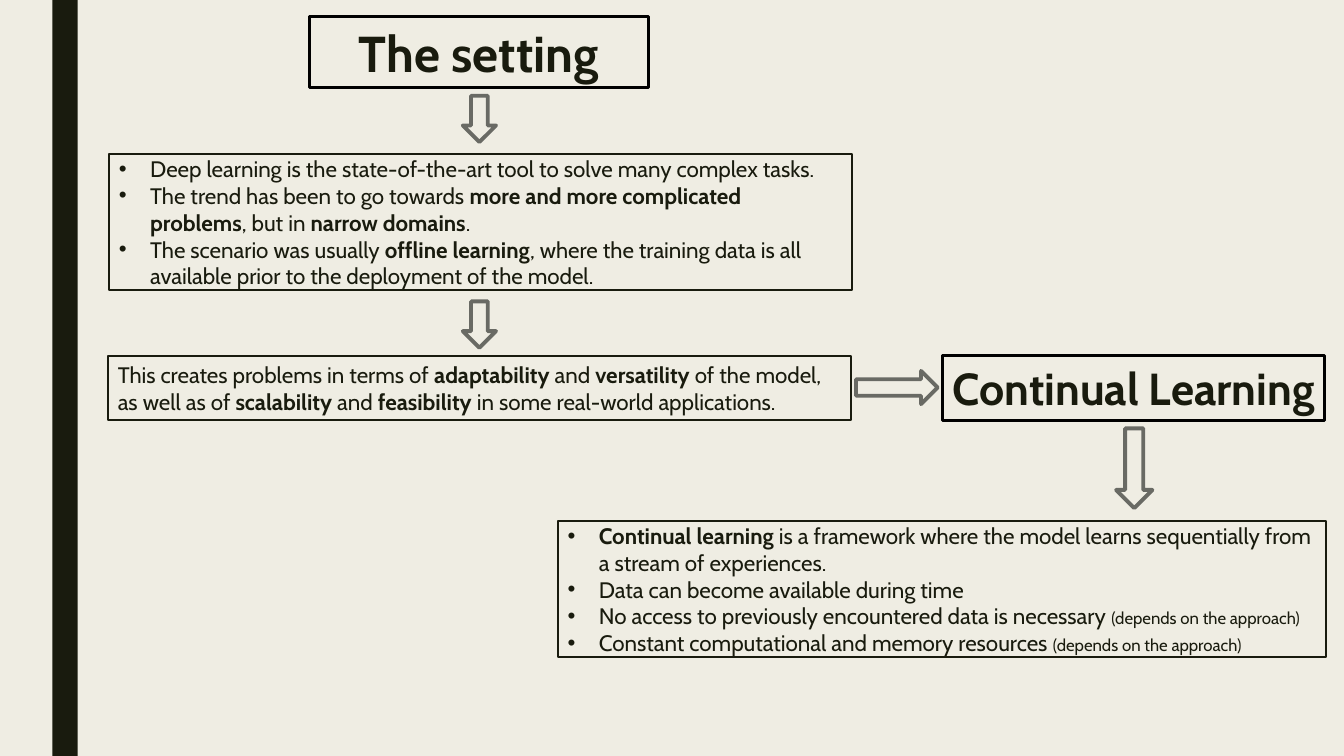
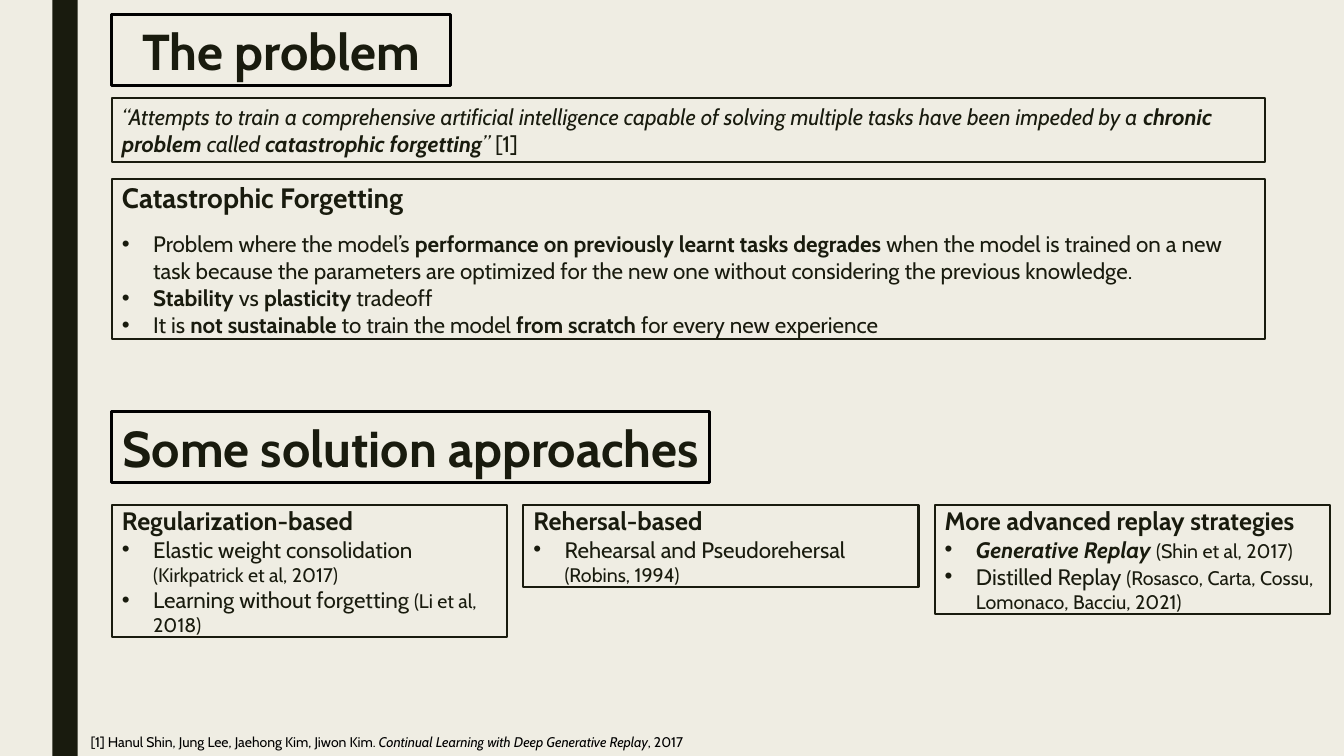
from lxml.etree import SubElement
from pptx import Presentation
from pptx.dml.color import RGBColor
from pptx.enum.shapes import MSO_SHAPE as Preset
from pptx.enum.text import MSO_ANCHOR as Anchor, MSO_AUTO_SIZE as AutoSize, PP_ALIGN as Align
from pptx.oxml.ns import qn
from pptx.util import Inches, Pt

BACKGROUND, INK, BLACK, GREY = "EFEDE3", "191B0E", "000000", "696A64"
FONT = "Cabin"
HEADING = {"size": 36, "border": BLACK, "weight": 2.25, "heading": True}
BODY = {"size": 16, "small": 12, "border": INK, "weight": 1.5}
STYLES = {
    "heading": HEADING,
    "callout": {**HEADING, "size": 32},
    "body": BODY,
    "topic": {**BODY, "lead": 20, "lead_gap": 12},
    "approach": {**BODY, "small": 14, "lead": 18},
    "reference": {"size": 10, "ink": BLACK},
}


def colour(value):
    """Return the colour for a hex string."""
    return RGBColor.from_string(value)


def fill_box(shape, at, lines, style_name):
    """Place a box and write lines; * toggles bold, _ italic, ~ small text."""
    style = STYLES[style_name]
    heading = style.get("heading", False)
    shape.left, shape.top, shape.width, shape.height = map(Inches, at)
    shape.shadow.inherit = False
    shape.fill.background()
    if "border" in style:
        shape.line.color.rgb = colour(style["border"])
        shape.line.width = Pt(style["weight"])
    frame = shape.text_frame
    frame_format = {
        "word_wrap": not heading,
        "auto_size": AutoSize.NONE if heading else AutoSize.SHAPE_TO_FIT_TEXT,
        "vertical_anchor": Anchor.MIDDLE,
        "margin_left": Inches(0.1), "margin_right": Inches(0.1),
        "margin_top": Inches(0.05), "margin_bottom": Inches(0.05),
    }
    for name, value in frame_format.items():
        setattr(frame, name, value)

    for number, line in enumerate(lines):
        paragraph = frame.add_paragraph() if number else frame.paragraphs[0]
        bulleted = line.startswith("• ")
        lead = "lead" in style and not bulleted
        paragraph_format = {
            "alignment": Align.CENTER if heading else Align.LEFT,
            "line_spacing": 1.0,
            "space_before": Pt(0),
            "space_after": Pt(style.get("lead_gap", 0) if lead else 0),
        }
        for name, value in paragraph_format.items():
            setattr(paragraph, name, value)
        properties = paragraph._p.get_or_add_pPr()
        indent = Inches(0.31) if bulleted else 0
        properties.set("marL", str(indent))
        properties.set("indent", str(-indent))
        if bulleted:
            SubElement(properties, qn("a:buFont")).set("typeface", "Arial")
            SubElement(properties, qn("a:buChar")).set("char", "•")
        else:
            SubElement(properties, qn("a:buNone"))

        active = {"*": heading or lead, "_": False, "~": False}
        text = line.removeprefix("• ")
        for mark in active:
            text = text.replace(mark, f"\n{mark}\n")
        for piece in text.split("\n"):
            if piece in active:
                active[piece] = not active[piece]
            elif piece:
                run = paragraph.add_run()
                run.text = piece
                size = style["lead"] if lead else style["small" if active["~"] else "size"]
                font_format = {"name": FONT, "size": Pt(size),
                               "bold": active["*"], "italic": active["_"]}
                for name, value in font_format.items():
                    setattr(run.font, name, value)
                run.font.color.rgb = colour(style.get("ink", INK))


deck = Presentation()
deck.slide_width, deck.slide_height = Inches(13.33), Inches(7.5)
master = deck.slide_master
master.background.fill.solid()
master.background.fill.fore_color.rgb = colour(BACKGROUND)

setting = deck.slides.add_slide(deck.slide_layouts.get_by_name("Two Content"))
problem = deck.slides.add_slide(deck.slide_layouts.get_by_name("Comparison"))

# The side band belongs to the master, behind everything else
band = setting.shapes.add_shape(Preset.RECTANGLE, Inches(0.52), 0, Inches(0.25), Inches(7.5))
band.shadow.inherit = False
band.fill.solid()
band.fill.fore_color.rgb = colour(INK)
band.line.fill.background()
band.element.nvSpPr.cNvPr.set("id", "20")
master.shapes.element.insert(2, band.element)

# Slide 1: the setting
fill_box(setting.shapes.title, (3.07, 0.16, 3.36, 0.71), ["The setting"], "heading")
fill_box(setting.placeholders[1], (1.08, 1.48, 7.37, 1.45), [
    "• Deep learning is the state-of-the-art tool to solve many complex tasks.",
    "• The trend has been to go towards *more and more complicated problems*, "
    "but in *narrow domains*.",
    "• The scenario was usually *offline learning*, where the training data is all "
    "available prior to the deployment of the model.",
], "body")
fill_box(setting.placeholders[2], (5.53, 5.12, 7.62, 1.45), [
    "• *Continual learning* is a framework where the model learns sequentially from "
    "a stream of experiences.",
    "• Data can become available during time",
    "• No access to previously encountered data is necessary ~(depends on the approach)~",
    "• Constant computational and memory resources ~(depends on the approach)~",
], "body")
setting_boxes = [
    ((1.07, 3.53, 7.37, 0.64), "body",
     "This creates problems in terms of *adaptability* and *versatility* of the model, "
     "as well as of *scalability* and *feasibility* in some real-world applications."),
    ((9.35, 3.53, 3.79, 0.64), "callout", "Continual Learning"),
]
for at, style_name, line in setting_boxes:
    box = setting.shapes.add_shape(Preset.RECTANGLE, *map(Inches, at))
    fill_box(box, at, [line], style_name)

flow_arrows = [
    (Preset.DOWN_ARROW, (4.59, 0.95, 0.33, 0.46)),
    (Preset.DOWN_ARROW, (4.59, 2.99, 0.33, 0.46)),
    (Preset.RIGHT_ARROW, (8.49, 3.68, 0.81, 0.33)),
    (Preset.DOWN_ARROW, (11.07, 4.25, 0.36, 0.79)),
]
for preset, at in flow_arrows:
    arrow = setting.shapes.add_shape(preset, *map(Inches, at))
    arrow.shadow.inherit = False
    arrow.fill.background()
    arrow.line.color.rgb = colour(GREY)
    arrow.line.width = Pt(2.75)

# Slide 2: the problem and some approaches
LEFT = 1.11
fill_box(problem.shapes.title, (LEFT, 0.14, 3.36, 0.71), ["The problem"], "heading")
fill_box(problem.placeholders[1], (LEFT, 1.73, 11.44, 1.68), [
    "Catastrophic Forgetting",
    "• Problem where the model’s *performance on previously learnt tasks degrades *"
    "when the model is trained on a new task because the parameters are optimized "
    "for the new one without considering the previous knowledge.",
    "• *Stability* vs *plasticity* tradeoff",
    "• It is *not sustainable *to train the model *from scratch *for every new experience",
], "topic")
problem_boxes = [
    ((LEFT, 0.97, 11.44, 0.64), "body",
     "_“Attempts to train a comprehensive artificial intelligence capable of solving "
     "multiple tasks have been impeded by a *chronic problem* called "
     "*catastrophic forgetting*” _[1]"),
    ((LEFT, 4.08, 5.93, 0.71), "heading", "Some solution approaches"),
]
for at, style_name, line in problem_boxes:
    box = problem.shapes.add_shape(Preset.RECTANGLE, *map(Inches, at))
    fill_box(box, at, [line], style_name)

approaches = [
    (1.41, ["Regularization-based",
            "• Elastic weight consolidation ~(Kirkpatrick et al, 2017)~",
            "• Learning without forgetting ~(Li et al, 2018)~"]),
    (0.91, ["Rehersal-based",
            "• Rehearsal and Pseudorehersal ~(Robins, 1994)~"]),
    (1.18, ["More advanced replay strategies",
            "• *_Generative Replay _*~(Shin et al, 2017)~",
            "• Distilled Replay ~(Rosasco, Carta, Cossu, Lomonaco, Bacciu, 2021)~"]),
]
for column, (height, lines) in enumerate(approaches):
    at = (LEFT + column * 4.08, 4.96, 3.92, height)
    fill_box(problem.placeholders[column + 2], at, lines, "approach")

reference_at = (0.8, 7.23, 11, 0.27)
reference = problem.shapes.add_textbox(*map(Inches, reference_at))
fill_box(reference, reference_at, [
    "[1] Hanul Shin, Jung Lee, Jaehong Kim, Jiwon Kim. "
    "_Continual Learning with Deep Generative Replay_, 2017",
], "reference")

deck.save("out.pptx")
